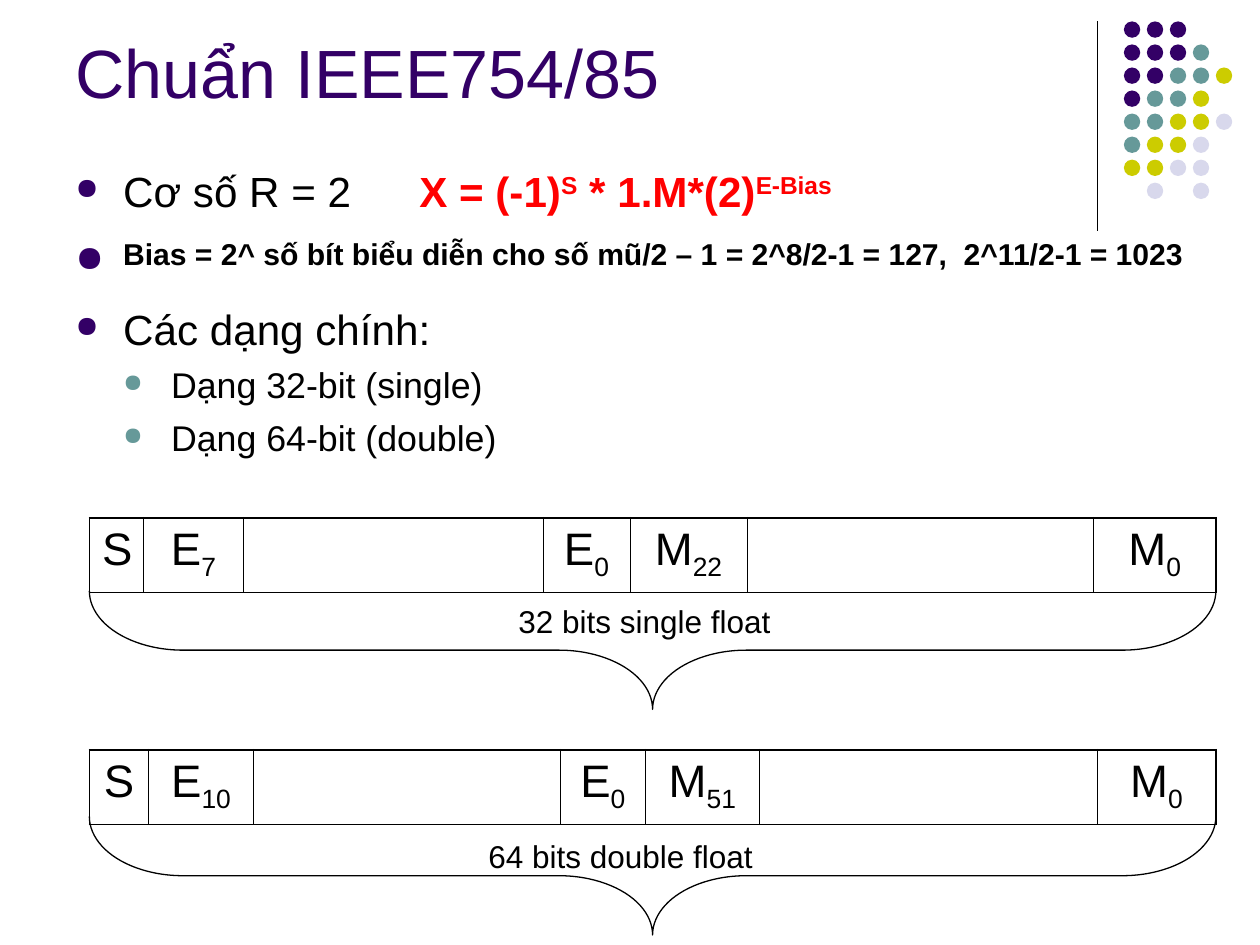
from lxml import etree
from pptx import Presentation
from pptx.dml.color import RGBColor
from pptx.enum.shapes import MSO_CONNECTOR, MSO_SHAPE
from pptx.enum.text import MSO_ANCHOR, MSO_AUTO_SIZE, PP_ALIGN
from pptx.oxml.ns import qn
from pptx.util import Inches, Pt

LINE = MSO_CONNECTOR.STRAIGHT
DOT, BRACE = MSO_SHAPE.OVAL, MSO_SHAPE.LEFT_BRACE
LEFT, MID = PP_ALIGN.LEFT, PP_ALIGN.CENTER
BOTTOM, FIXED = MSO_ANCHOR.BOTTOM, MSO_AUTO_SIZE.NONE
CELL = Inches(0.1)
COLS, ROWS = 100, 75
FONT = "Arial"
BLACK, RED, PLUM, TEAL = "000000", "FF0000", "330066", "669999"
TINTS = {"P": PLUM, "T": TEAL, "Y": "CCCC00", "L": "D8D8EC"}
DOTS = ["PPP", "PPPT", "PPTTY", "PTTY", "TTYYL", "TYYL", "YYLL", " L L"]


def grid(*cells):
    return [round(n * CELL) for n in cells]


def tint(code):
    return RGBColor.from_string(code)


def style(run, size, color=BLACK, bold=False, base=0):
    font = run.font
    font.name, font.size, font.bold = FONT, Pt(size), bold
    font.color.rgb = tint(color)
    if base:
        run._r.get_or_add_rPr().set("baseline", str(base * 1000))


def write(par, parts, size, color=BLACK, bold=False):
    for text, base in parts:
        run = par.add_run()
        run.text = text
        style(run, size, color, bold, base)


def bullet(par, color, step, stop=None):
    props = par._p.get_or_add_pPr()
    props.set("marL", str(grid(3.8 * step)[0]))
    props.set("indent", str(-grid(3.8)[0]))
    mark = etree.SubElement(props, qn("a:buClr"))
    etree.SubElement(mark, qn("a:srgbClr"), val=color)
    etree.SubElement(props, qn("a:buSzPct"), val="70000")
    etree.SubElement(props, qn("a:buChar"), char="●")
    if stop:
        tabs = etree.SubElement(props, qn("a:tabLst"))
        etree.SubElement(tabs, qn("a:tab"), pos=str(grid(stop)[0]), algn="l")


def stroke(line, width=0.75):
    line.color.rgb = tint(BLACK)
    line.width = Pt(width)


def dots(slide):
    rule = slide.shapes.add_connector(LINE, *grid(87.1, 1.7, 87.1, 18.3))
    stroke(rule.line)
    etree.SubElement(rule._element.spPr, qn("a:effectLst"))
    for row, marks in enumerate(DOTS):
        for col, mark in enumerate(marks):
            if mark in TINTS:
                spot = grid(89.2 + 7.3 * col / 4, 1.7 + 12.8 * row / 7, 1.3, 1.3)
                dot = slide.shapes.add_shape(DOT, *spot)
                dot.shadow.inherit = False
                dot.fill.solid()
                dot.fill.fore_color.rgb = tint(TINTS[mark])
                dot.line.fill.background()


def title(slide, text):
    head = slide.shapes.title
    head.left, head.top, head.width, head.height = grid(5, 1.3, 82.5, 8.1)
    frame = head.text_frame
    frame.text = text
    frame.vertical_anchor, frame.auto_size = BOTTOM, FIXED
    par = frame.paragraphs[0]
    par.alignment = LEFT
    style(par.runs[0], 39, PLUM)


def box(slide, *cells):
    frame = slide.shapes.add_textbox(*grid(*cells)).text_frame
    frame.word_wrap = True
    return frame


def body(slide):
    frame = box(slide, 5, 12.6, 92.3, 22.5)
    first = frame.paragraphs[0]
    bullet(first, PLUM, 1, 27.3)
    write(first, [("Cơ số R = 2\t", 0)], 24.1)
    form = [("X = (-1)", 0), ("S", 30), (" * 1.M*(2)", 0), ("E-Bias", 30)]
    write(first, form, 24.1, RED, True)
    bias = "Bias = 2^ số bít biểu diễn cho số mũ/2 – 1 = 2^8/2-1 = 127,  2^11/2-1 = 1023"
    items = [
        (bias, 30, 29.6, 8, 1, True),
        ("Các dạng chính:", 0, 24.1, 6.5, 1, False),
        ("Dạng 32-bit (single)", 0, 20.4, 5.5, 2, False),
        ("Dạng 64-bit (double)", 0, 20.4, 5.5, 2, False),
    ]
    for text, base, size, gap, step, bold in items:
        par = frame.add_paragraph()
        par.level = step - 1
        bullet(par, PLUM if step == 1 else TEAL, step)
        par.space_before = Pt(gap)
        write(par, [(text, base)], size, BLACK, bold)


def border(cell, first, last):
    props = cell._tc.get_or_add_tcPr()
    widths = {"L": 1.08 if first else 0.45, "R": 1.08 if last else 0.45,
              "T": 1.08, "B": 1.08}
    for spot, (side, width) in enumerate(widths.items()):
        edge = etree.Element(qn("a:ln" + side), w=str(Pt(width)))
        fill = etree.SubElement(edge, qn("a:solidFill"))
        etree.SubElement(fill, qn("a:srgbClr"), val=BLACK)
        props.insert(spot, edge)


def bits(slide, top, widths, names):
    spot = grid(7.1, top, sum(widths), 5.9)
    table = slide.shapes.add_table(1, len(widths), *spot).table
    table.first_row = table.horz_banding = False
    last = len(widths) - 1
    for col, (width, name) in enumerate(zip(widths, names)):
        table.columns[col].width = grid(width)[0]
        cell = table.cell(0, col)
        cell.fill.background()
        border(cell, col == 0, col == last)
        par = cell.text_frame.paragraphs[0]
        par.alignment = MID
        parts = [(name[:1], 0), (name[1:], -25)]
        write(par, [part for part in parts if part[0]], 26)


def brace(slide, top):
    wide, high = 89.4, 9.4
    left = 7.1 + (wide - high) / 2
    spot = grid(left, top - (wide - high) / 2, high, wide)
    shape = slide.shapes.add_shape(BRACE, *spot)
    shape.rotation = 270
    shape.adjustments[0] = 0.79
    shape.shadow.inherit = False
    shape.fill.background()
    stroke(shape.line)


def label(slide, left, top, text):
    par = box(slide, left, top, 42.5, 4).paragraphs[0]
    par.alignment = MID
    write(par, [(text, 0)], 18)


def main():
    deck = Presentation()
    deck.slide_width, deck.slide_height = grid(COLS, ROWS)
    slide = deck.slides.add_slide(deck.slide_layouts[5])
    dots(slide)
    title(slide, "Chuẩn IEEE754/85")
    body(slide)
    bits(slide, 41.1, [4.3, 7.9, 23.8, 6.9, 9.3, 27.5, 9.7],
         ["S", "E7", "", "E0", "M22", "", "M0"])
    bits(slide, 59.5, [4.7, 8.3, 24.4, 6.7, 9.1, 26.8, 9.4],
         ["S", "E10", "", "E0", "M51", "", "M0"])
    brace(slide, 46.9)
    label(slide, 29.9, 47.3, "32 bits single float")
    label(slide, 28, 65.9, "64 bits double float")
    brace(slide, 64.8)
    deck.save("out.pptx")


if __name__ == "__main__":
    main()
